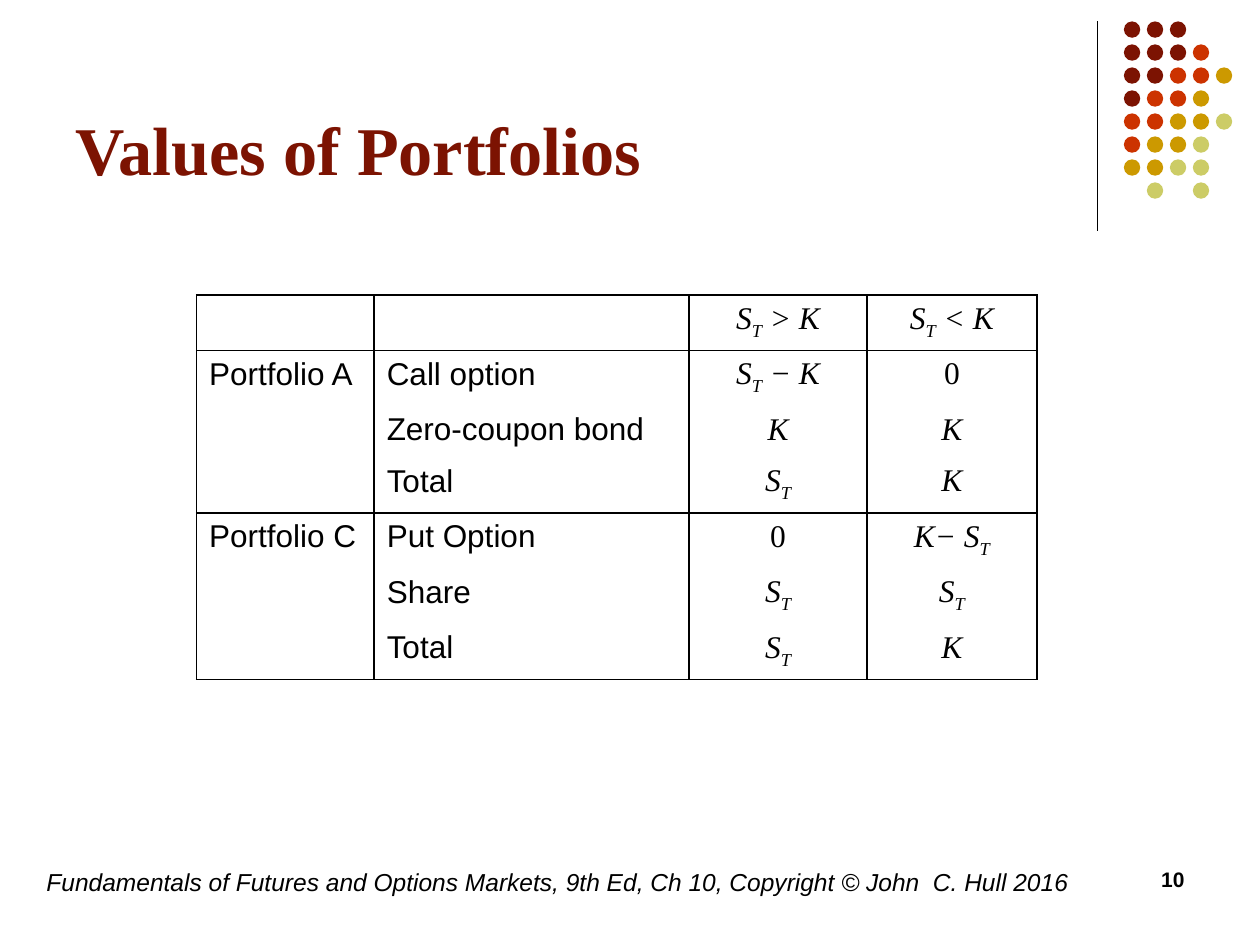
from dataclasses import dataclass

from lxml import etree
from pptx import Presentation
from pptx.dml.color import RGBColor
from pptx.enum import shapes, text
from pptx.oxml import ns
from pptx.util import Inches, Pt


@dataclass(frozen=True)
class Theme:
    ink: str = "000000"
    maroon: str = "7C1302"
    red: str = "CC3300"
    gold: str = "CC9900"
    olive: str = "CCCC66"
    sans: str = "Arial"
    serif: str = "Times New Roman"
    title_size: int = 39
    table_size: int = 18
    footer_size: int = 14
    number_size: int = 12


THEME = Theme()

# One letter per dot: maroon, red, gold, olive; a dot mark leaves a gap.
DOT_ROWS = ["MMM..", "MMMR.", "MMRRG", "MRRG.", "RRGGO", "RGGO.", "GGOO.", ".O.O."]
DOT_COLORS = {"M": THEME.maroon, "R": THEME.red, "G": THEME.gold, "O": THEME.olive}

# "_" makes the next letter a subscript. Each section is ruled off from the next.
SECTIONS = [
    [("", "", "S_T > K", "S_T < K")],
    [("Portfolio A", "Call option", "S_T − K", "0"),
     ("", "Zero-coupon bond", "K", "K"),
     ("", "Total", "S_T", "K")],
    [("Portfolio C", "Put Option", "0", "K− S_T"),
     ("", "Share", "S_T", "S_T"),
     ("", "Total", "S_T", "K")],
]
COLUMN_WIDTHS = [1.41, 2.5, 1.41, 1.35]


def style_font(font, name, size, color=THEME.ink, bold=False, italic=False):
    font.name, font.size, font.bold, font.italic = name, Pt(size), bold, italic
    font.color.rgb = RGBColor.from_string(color)


def add_text(slide, box, words, anchor=text.MSO_ANCHOR.TOP,
             align=text.PP_ALIGN.LEFT, **font):
    text_frame = slide.shapes.add_textbox(*map(Inches, box)).text_frame
    text_frame.word_wrap = True
    text_frame.vertical_anchor = anchor
    text_frame.text = words
    paragraph = text_frame.paragraphs[0]
    paragraph.alignment = align
    style_font(paragraph.runs[0].font, **font)


def add_corner_ornament(slide, box):
    """Vertical rule at the left of the box, grid of dots at its right."""
    left, top, width, height = box
    rule = slide.shapes.add_connector(
        shapes.MSO_CONNECTOR.STRAIGHT,
        Inches(left), Inches(top), Inches(left), Inches(top + height))
    rule.line.color.rgb = RGBColor.from_string(THEME.ink)
    rule.line.width = Pt(0.75)
    etree.SubElement(rule._element.spPr, ns.qn("a:effectLst"))

    diameter = 0.13
    pitch = 0.73 / 4
    first_left = left + width - 4 * pitch - diameter
    dots = slide.shapes.add_group_shape()
    for row, letters in enumerate(DOT_ROWS):
        for column, letter in enumerate(letters):
            if letter == ".":
                continue
            dot = dots.shapes.add_shape(
                shapes.MSO_SHAPE.OVAL,
                Inches(first_left + column * pitch), Inches(top + row * pitch),
                Inches(diameter), Inches(diameter))
            dot.shadow.inherit = False
            dot.fill.solid()
            dot.fill.fore_color.rgb = RGBColor.from_string(DOT_COLORS[letter])
            dot.line.fill.background()


def set_borders(cell, sides):
    """Draw the given sides of L, R, T, B and clear the others."""
    properties = cell._tc.get_or_add_tcPr()
    for index, side in enumerate("LRTB"):
        line = etree.Element(ns.qn(f"a:ln{side}"), w=str(Pt(1)))
        if side in sides:
            fill = etree.SubElement(line, ns.qn("a:solidFill"))
            etree.SubElement(fill, ns.qn("a:srgbClr"), val=THEME.ink)
        else:
            etree.SubElement(line, ns.qn("a:noFill"))
        properties.insert(index, line)


def write_formula(paragraph, formula):
    paragraph.alignment = text.PP_ALIGN.CENTER
    first, *rest = formula.split("_")
    pieces = [(first, False)]
    for part in rest:
        pieces += [(part[0], True), (part[1:], False)]
    for words, subscript in pieces:
        if not words:
            continue
        run = paragraph.add_run()
        run.text = words
        style_font(run.font, THEME.serif, THEME.table_size, italic=not words.isdigit())
        if subscript:
            run.font._element.set("baseline", "-25000")


def write_label(paragraph, label):
    paragraph.text = label
    style_font(paragraph.font, THEME.sans, THEME.table_size)
    for run in paragraph.runs:
        style_font(run.font, THEME.sans, THEME.table_size)


def add_values_table(slide, box):
    row_count = sum(map(len, SECTIONS))
    table = slide.shapes.add_table(
        row_count, len(COLUMN_WIDTHS), *map(Inches, box)).table
    table.first_row = table.horz_banding = False
    for column, width in zip(table.columns, COLUMN_WIDTHS):
        column.width = Inches(width)

    rows = iter(range(row_count))
    for section in SECTIONS:
        for position, entries in enumerate(section):
            row = next(rows)
            sides = "LR"
            sides += "T" if position == 0 else ""
            sides += "B" if position == len(section) - 1 else ""
            for column, entry in enumerate(entries):
                cell = table.cell(row, column)
                cell.fill.background()
                set_borders(cell, sides)
                write = write_formula if column >= 2 else write_label
                write(cell.text_frame.paragraphs[0], entry)


def build_slide(presentation):
    slide = presentation.slides.add_slide(presentation.slide_layouts[6])
    add_corner_ornament(slide, (8.71, 0.17, 1.07, 1.66))
    add_text(slide, (0.5, 0.13, 8.25, 1.42), "Values of Portfolios",
             anchor=text.MSO_ANCHOR.BOTTOM, name=THEME.serif,
             size=THEME.title_size, color=THEME.maroon, bold=True)
    add_text(slide, (0.27, 6.83, 8.63, 0.5),
             "Fundamentals of Futures and Options Markets, 9th Ed, Ch 10, "
             "Copyright © John  C. Hull 2016",
             name=THEME.sans, size=THEME.footer_size, italic=True)
    add_values_table(slide, (1.56, 2.34, 6.67, 2.84))
    add_text(slide, (7.17, 6.83, 2.33, 0.5), "10", align=text.PP_ALIGN.RIGHT,
             name=THEME.sans, size=THEME.number_size, bold=True)


def main():
    presentation = Presentation()
    presentation.slide_width, presentation.slide_height = Inches(10), Inches(7.5)
    build_slide(presentation)
    presentation.save("out.pptx")


if __name__ == "__main__":
    main()
